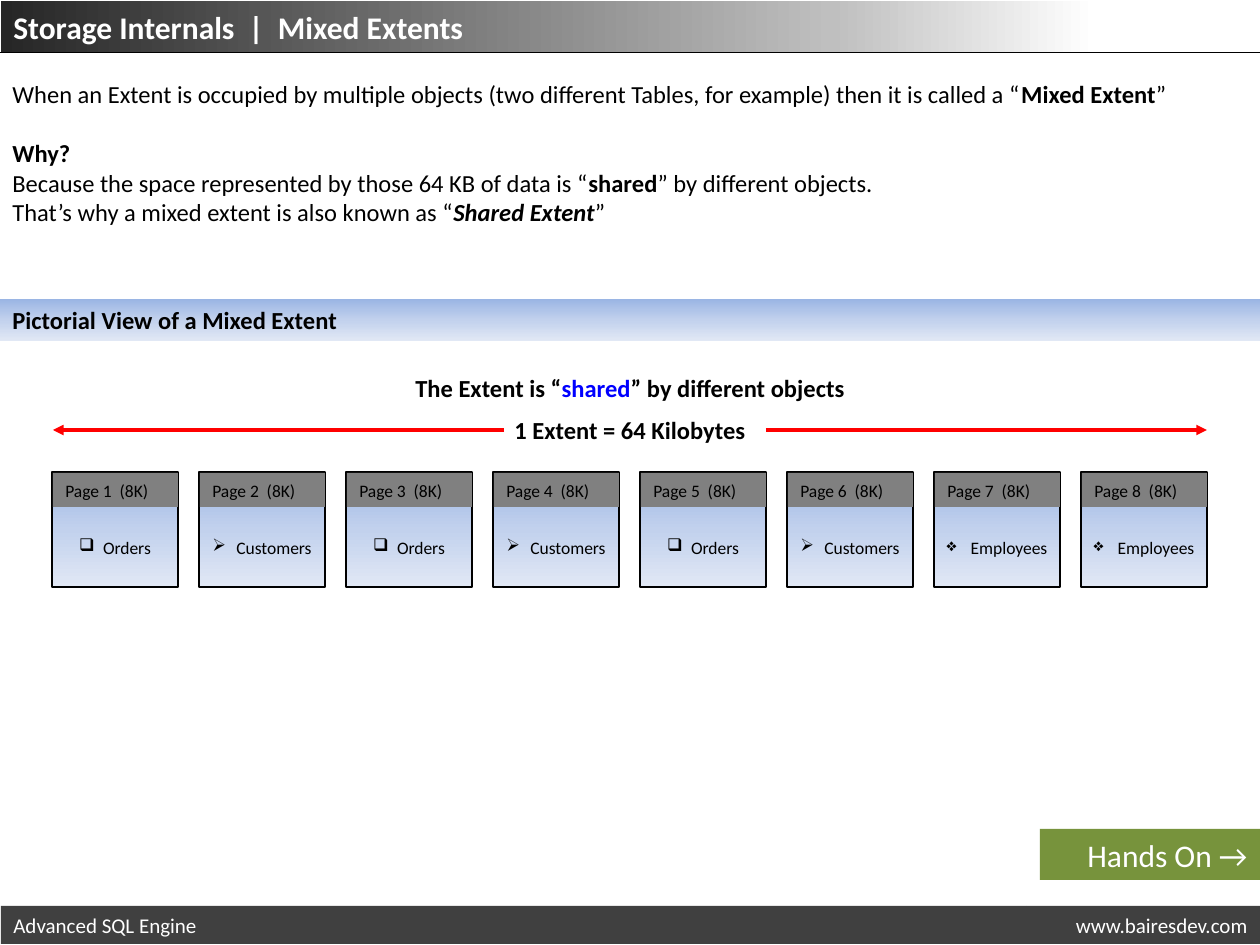
import pptx
import pptx.util
from pptx.dml.color import RGBColor
from pptx.enum.shapes import MSO_CONNECTOR, MSO_SHAPE
from pptx.enum.text import MSO_ANCHOR, PP_ALIGN
from pptx.oxml.ns import qn
from lxml import etree

PX = 914400 / 126
BLACK = RGBColor(0x00, 0x00, 0x00)
WHITE = RGBColor(0xFF, 0xFF, 0xFF)
RED = RGBColor(0xFF, 0x00, 0x00)
BLUE = RGBColor(0x00, 0x00, 0xFF)
GRAY = RGBColor(0x80, 0x80, 0x80)
DARK = RGBColor(0x40, 0x40, 0x40)
GREEN = RGBColor(0x77, 0x93, 0x3C)
SKY_STOPS = [(0, "9AB5E4"), (50, "C2D1ED"), (100, "E1E8F5")]
HEADER_STOPS = [(0, "262626"), (66, "BFBFBF"), (87, "FFFFFF")]

prs = pptx.Presentation()
prs.slide_width = pptx.util.Inches(10)
prs.slide_height = pptx.util.Inches(7.5)
s = prs.slides.add_slide(prs.slide_layouts[6])


def add_box(rect, paragraphs=(), size=14, color=BLACK, align=PP_ALIGN.LEFT, fill=None, angle=270):
    """Add a text box, or a rectangle if fill is a colour or a list of gradient stops.

    Each paragraph is a list of (text, style) runs; style holds b and i flags.
    """
    x, y, w, h = [round(v * PX) for v in rect]
    if fill is None:
        sp = s.shapes.add_textbox(x, y, w, h)
    else:
        sp = s.shapes.add_shape(MSO_SHAPE.RECTANGLE, x, y, w, h)
        sp.shadow.inherit = False
        sp.line.fill.background()
        if isinstance(fill, list):
            sp.fill.gradient()
            sp.fill.gradient_angle = angle
            stops = sp._element.spPr.find(qn("a:gradFill")).find(qn("a:gsLst"))
            for old in list(stops):
                stops.remove(old)
            for pos, rgb in fill:
                gs = etree.SubElement(stops, qn("a:gs"), pos=str(pos * 1000))
                etree.SubElement(gs, qn("a:srgbClr"), val=rgb)
        else:
            sp.fill.solid()
            sp.fill.fore_color.rgb = fill
    tf = sp.text_frame
    tf.word_wrap = True
    tf.vertical_anchor = MSO_ANCHOR.TOP if fill is None else MSO_ANCHOR.MIDDLE
    for i, runs in enumerate(paragraphs):
        p = tf.paragraphs[0] if i == 0 else tf.add_paragraph()
        p.alignment = align
        for text, style in runs:
            r = p.add_run()
            r.text = text
            r.font.name = "Calibri"
            r.font.size = pptx.util.Pt(size)
            r.font.bold = "b" in style
            r.font.italic = "i" in style
            r.font.color.rgb = color
    return sp


def add_line(x1, y1, x2, y2, color, width, arrow=False):
    cn = s.shapes.add_connector(MSO_CONNECTOR.STRAIGHT, *[round(v * PX) for v in (x1, y1, x2, y2)])
    cn.line.color.rgb = color
    cn.line.width = pptx.util.Pt(width)
    if arrow:
        etree.SubElement(cn.line._get_or_add_ln(), qn("a:tailEnd"), type="triangle")
    etree.SubElement(cn._element.spPr, qn("a:effectLst"))


# Header
add_box((1, 1, 1259, 51), [[("Storage Internals  |  Mixed Extents", "b")]], 18, WHITE,
        fill=HEADER_STOPS, angle=0)
add_line(0, 52, 1260, 52, BLACK, 0.5)

# Explanation
intro = add_box((0, 73, 1260, 161), [
    [("When an Extent is occupied by multiple objects (two different Tables, for example) "
      "then it is called a “", ""), ("Mixed Extent", "b"), ("”", "")],
    [("Why?", "b")],
    [("Because the space represented by those 64 KB of data is “", ""), ("shared", "b"),
     ("” by different objects.", "")],
    [("That’s why a mixed extent is also known as “", ""), ("Shared Extent", "bi"), ("”", "")],
])
intro.text_frame.paragraphs[1].space_before = pptx.util.Pt(17)

# Section heading and extent captions
add_box((0, 299, 1260, 42), [[("Pictorial View of a Mixed Extent", "b")]], fill=SKY_STOPS)
caption = add_box((53, 367, 1154, 42),
                  [[("The Extent is “", "b"), ("shared", "b"), ("” by different objects", "b")]],
                  align=PP_ALIGN.CENTER)
caption.text_frame.paragraphs[0].runs[1].font.color.rgb = BLUE
add_box((53, 409, 1154, 42), [[("1 Extent = 64 Kilobytes", "b")]], align=PP_ALIGN.CENTER)
add_line(504, 430, 53, 430, RED, 2, arrow=True)
add_line(766, 430, 1207, 430, RED, 2, arrow=True)

# Pages of the extent
BULLETS = {"Orders": "❑", "Customers": "➢", "Employees": "❖"}
PAGES = ["Orders", "Customers"] * 3 + ["Employees"] * 2
for i, name in enumerate(PAGES):
    x = 52 + 147 * i
    page = add_box((x, 472, 126, 115), fill=SKY_STOPS)
    page.line.color.rgb = BLACK
    page.line.width = pptx.util.Pt(1)
    add_box((x + 1, 473, 125, 34), [[(f"Page {i + 1}  (8K)", "")]], 10, fill=GRAY)
    label = add_box((x, 531, 126, 34), [[(name, "")]], 10, align=PP_ALIGN.CENTER)
    tf = label.text_frame
    tf.margin_left = tf.margin_right = round(6 * PX)
    pPr = tf.paragraphs[0]._p.get_or_add_pPr()
    pPr.set("marL", str(round(24 * PX)))
    pPr.set("indent", str(round(-24 * PX)))
    etree.SubElement(pPr, qn("a:buChar"), char=BULLETS[name])

# Footer
add_box((1040, 829, 220, 51), [[("Hands On →", "")]], 18, WHITE, PP_ALIGN.RIGHT, GREEN)
add_box((1, 906, 1026, 38), [[("Advanced SQL Engine", "")]], 12, WHITE, fill=DARK)
add_box((1027, 906, 233, 38), [[("www.bairesdev.com", "")]], 12, WHITE, PP_ALIGN.RIGHT, DARK)

prs.save("out.pptx")
